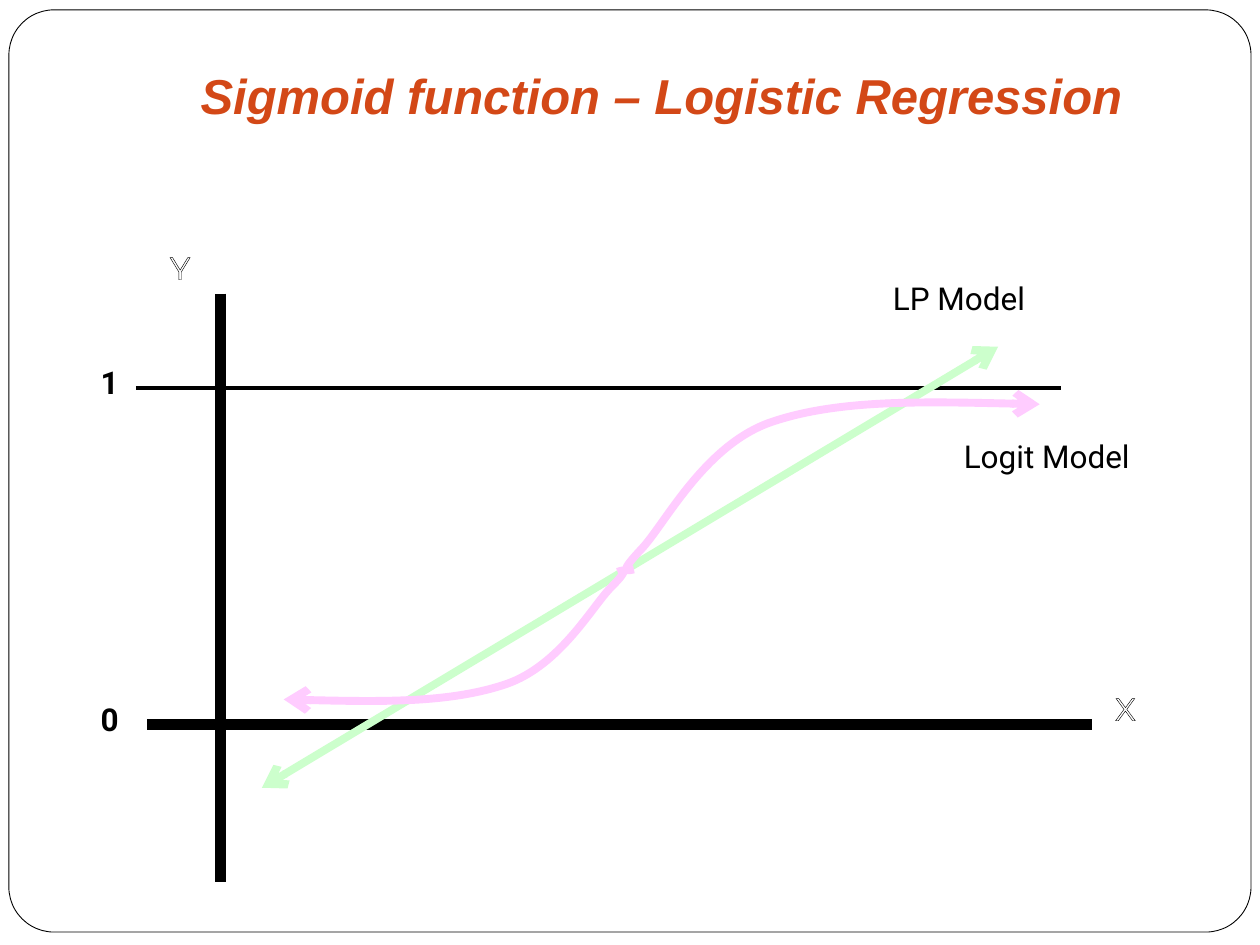
from dataclasses import dataclass

from lxml.etree import SubElement
from pptx import Presentation
from pptx.dml.color import RGBColor as Color
from pptx.enum.shapes import MSO_CONNECTOR as Connector, MSO_SHAPE as Shape
from pptx.enum.text import MSO_ANCHOR as Anchor, MSO_AUTO_SIZE as AutoSize, PP_ALIGN as Align
from pptx.oxml.ns import qn
from pptx.util import Cm, Pt


@dataclass(frozen=True)
class Theme:
    ink: Color = Color(0x00, 0x00, 0x00)
    paper: Color = Color(0xFF, 0xFF, 0xFF)
    title: Color = Color(0xD3, 0x48, 0x17)
    linear: Color = Color(0xCC, 0xFF, 0xCC)
    logit: Color = Color(0xFF, 0xCC, 0xFF)
    title_font: str = "Arial"
    label_font: str = "Roboto"
    axis_font: str = "Montserrat"
    title_size: Pt = Pt(28)
    label_size: Pt = Pt(18)
    axis_width: Pt = Pt(6)
    curve_width: Pt = Pt(4.5)
    limit_width: Pt = Pt(2.25)
    frame_width: Pt = Pt(0.5)
    outline_width: Pt = Pt(0.75)


THEME = Theme()


@dataclass(frozen=True)
class Box:
    left: float
    top: float
    width: float
    height: float

    def point(self, x, y):
        return Cm(self.left + x), Cm(self.top + y)

    def bounds(self):
        return Cm(self.left), Cm(self.top), Cm(self.width), Cm(self.height)

    def inner(self, x, y, width, height):
        return Box(self.left + x, self.top + y, width, height)


def style_line(line, color, width, arrows=()):
    line.color.rgb = color
    line.width = width
    for end in arrows:
        SubElement(line._get_or_add_ln(), qn(f"a:{end}"), type="arrow")


def set_font(font, name, size, color, bold=False, italic=False):
    font.name, font.size = name, size
    font.bold, font.italic = bold, italic
    font.color.rgb = color


def add_frame(slide, box):
    frame = slide.shapes.add_shape(Shape.ROUNDED_RECTANGLE, *box.bounds())
    frame.adjustments[0] = 0.049
    frame.shadow.inherit = False
    frame.fill.solid()
    frame.fill.fore_color.rgb = THEME.paper
    style_line(frame.line, THEME.ink, THEME.frame_width)


def add_title(slide, box, text):
    text_frame = slide.shapes.add_textbox(*box.bounds()).text_frame
    text_frame.word_wrap = True
    text_frame.vertical_anchor = Anchor.BOTTOM
    text_frame.margin_bottom = Cm(0.25)
    paragraph = text_frame.paragraphs[0]
    paragraph.text = text
    paragraph.alignment = Align.CENTER
    set_font(paragraph.font, THEME.title_font, THEME.title_size, THEME.title, True, True)


def add_label(shapes, box, text, bold=False):
    text_frame = shapes.add_textbox(*box.bounds()).text_frame
    text_frame.word_wrap = False
    text_frame.auto_size = AutoSize.SHAPE_TO_FIT_TEXT
    paragraph = text_frame.paragraphs[0]
    paragraph.text = text
    set_font(paragraph.font, THEME.label_font, THEME.label_size, THEME.ink, bold)


def add_axis_name(shapes, box, text):
    text_frame = shapes.add_textbox(*box.bounds()).text_frame
    text_frame.word_wrap = False
    paragraph = text_frame.paragraphs[0]
    run = paragraph.add_run()
    run.text = text
    outline = SubElement(run._r.get_or_add_rPr(), qn("a:ln"), w=str(THEME.outline_width))
    fill = SubElement(outline, qn("a:solidFill"))
    SubElement(fill, qn("a:srgbClr"), val=str(THEME.ink))
    set_font(paragraph.font, THEME.axis_font, THEME.label_size, THEME.paper)


def add_line(shapes, box, start, end, color, width, arrows=()):
    line = shapes.add_connector(Connector.STRAIGHT, *box.point(*start), *box.point(*end))
    SubElement(line._element.spPr, qn("a:effectLst"))
    style_line(line.line, color, width, arrows)


def add_curve(shapes, box, points):
    start, *controls = [box.point(*point) for point in points]
    builder = shapes.build_freeform(*start)
    builder.add_line_segments(controls, close=False)
    curve = builder.convert_to_shape()
    outline = next(curve._element.iter(qn("a:path")))
    segments = outline.findall(qn("a:lnTo"))
    for index in range(0, len(segments), 3):
        bezier = SubElement(outline, qn("a:cubicBezTo"))
        for segment in segments[index:index + 3]:
            bezier.append(segment[0])
            outline.remove(segment)
    curve.shadow.inherit = False
    curve.fill.background()
    style_line(curve.line, THEME.logit, THEME.curve_width, ["headEnd"])


def add_logit_model(slide, box):
    shapes = slide.shapes.add_group_shape().shapes
    upper = [(19.18, 3.27), (17.12, 3.22), (15.06, 3.17), (13.71, 3.65),
             (12.39, 4.14), (11.61, 5.71), (11.15, 6.19),
             (10.69, 6.68), (10.84, 6.63), (11, 6.6)]
    lower = [(3.94, 9.22), (5.64, 9.27), (7.31, 9.29), (8.43, 8.91),
             (9.52, 8.53), (10.16, 7.34), (10.54, 6.96),
             (10.92, 6.58), (10.79, 6.6), (10.67, 6.65)]
    for points in (upper, lower):
        add_curve(shapes, box, points)
    add_label(shapes, box.inner(17.4, 3.81, 4.04, 1.02), "Logit Model")


def add_plot(slide, box):
    shapes = slide.shapes
    zero, one = 9.73, 2.94
    add_line(shapes, box, (2.67, 1.04), (2.67, box.height), THEME.ink, THEME.axis_width)
    add_line(shapes, box, (1.19, zero), (20.24, zero), THEME.ink, THEME.axis_width)
    add_line(shapes, box, (0.96, one), (19.61, one), THEME.ink, THEME.limit_width)
    for text, level in (("0", zero), ("1", one)):
        add_label(shapes, box.inner(0, level - 0.62, 0.86, 1.02), text, bold=True)
    add_line(shapes, box, (3.5, 11), (18.34, 2.11), THEME.linear, THEME.curve_width,
             ["headEnd", "tailEnd"])
    for text, x, y in (("X", 20.45, 8.89), ("Y", 1.4, 0)):
        add_axis_name(shapes, box.inner(x, y, 0.99, 1.8), text)
    add_label(shapes, box.inner(15.97, 0.63, 3.25, 1.02), "LP Model")
    add_logit_model(slide, box)


def main():
    presentation = Presentation()
    presentation.slide_width, presentation.slide_height = Cm(25.4), Cm(19.05)
    slide = presentation.slides.add_slide(presentation.slide_layouts[6])
    add_frame(slide, Box(0.18, 0.2, 25.04, 18.59))
    add_title(slide, Box(2.54, -0.43, 21.59, 3.18), "Sigmoid function – Logistic Regression")
    add_plot(slide, Box(1.78, 4.88, 21.44, 12.9))
    presentation.save("out.pptx")


if __name__ == "__main__":
    main()
